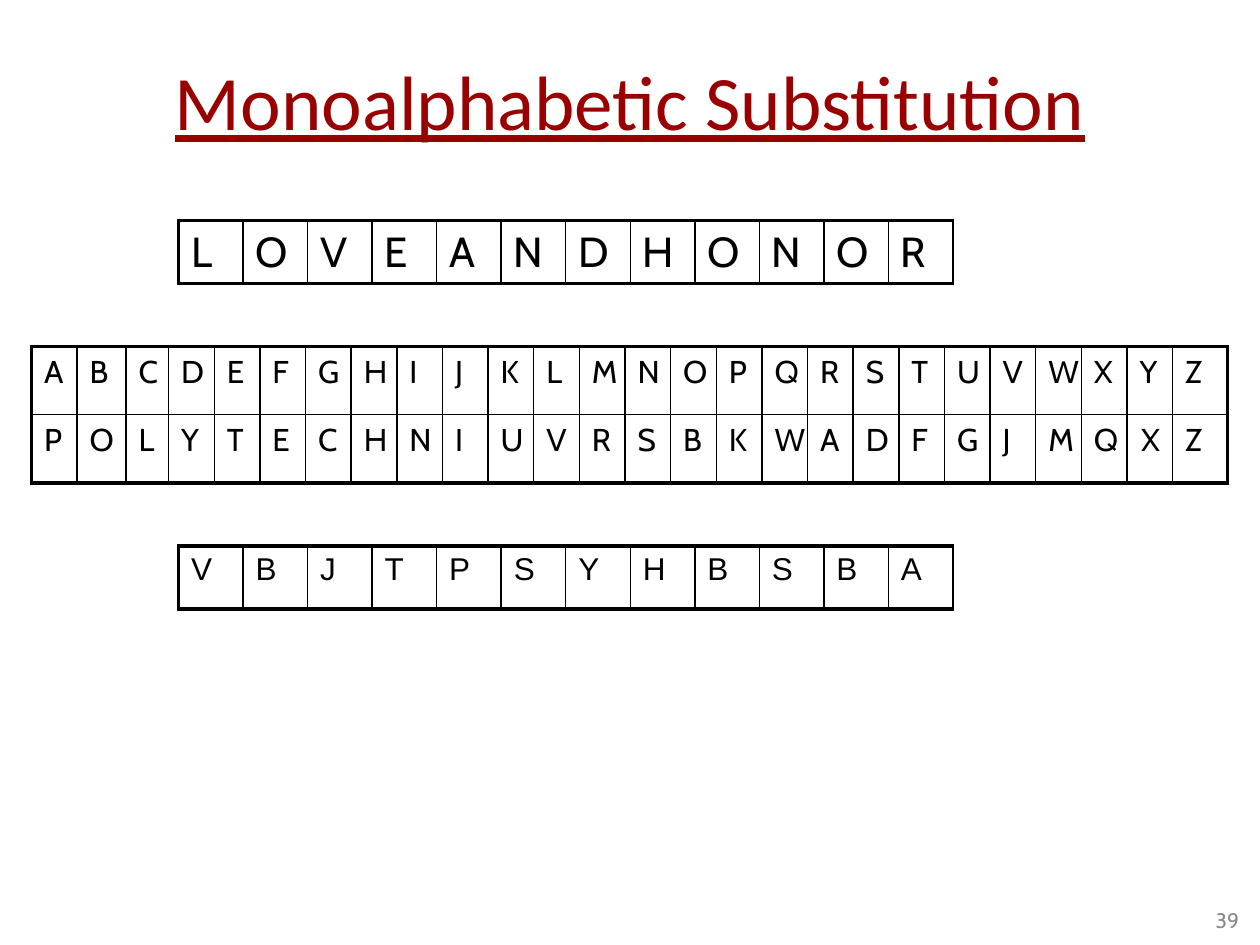
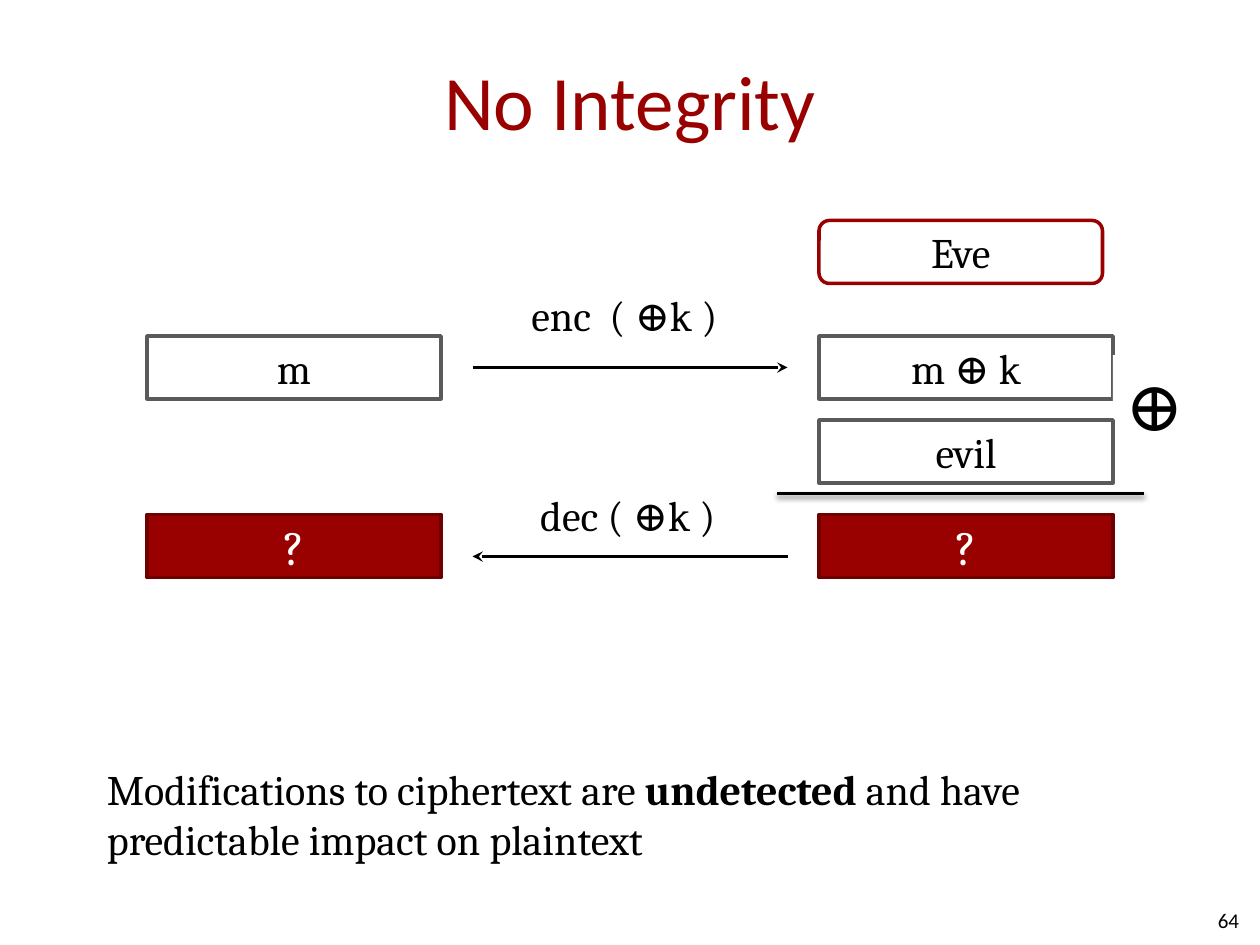
from lxml import etree
from pptx import Presentation
from pptx.dml.color import RGBColor
from pptx.enum import shapes, text
from pptx.oxml import ns
from pptx.util import Pt

HUES = {"red": "990000", "edge": "6F0000", "gray": "595A5A",
        "pale": "898989", "ink": "000000", "white": "FFFFFF"}
KINDS = shapes.MSO_SHAPE
MID, TOP = text.MSO_ANCHOR.MIDDLE, text.MSO_ANCHOR.TOP
LEFT, CENTER, RIGHT = text.PP_ALIGN.LEFT, text.PP_ALIGN.CENTER, text.PP_ALIGN.RIGHT
INSET = (7.2, 3.6)
THICK, THIN = 2.25, 1


def hue(name):
    return RGBColor.from_string(HUES[name])


def sub(parent, tag, **attrs):
    return etree.SubElement(parent, ns.qn(tag), attrs)


def style(para, size, font, color, align=LEFT):
    para.alignment = align
    para.font.size = Pt(size)
    para.font.name = font
    para.font.color.rgb = hue(color)


def write(shape, words, size, font="Cambria", color="ink", align=LEFT,
          anchor=TOP, inset=INSET, wrap=True):
    """Fill a shape with one paragraph; return the paragraph."""
    frame = shape.text_frame
    frame.word_wrap = wrap
    frame.vertical_anchor = anchor
    frame.margin_left = frame.margin_right = Pt(inset[0])
    frame.margin_top = frame.margin_bottom = Pt(inset[1])
    para = frame.paragraphs[0]
    para.text = words
    style(para, size, font, color, align)
    return para


def label(slide, box, words, size, **look):
    area = slide.shapes.add_textbox(*map(Pt, box))
    return write(area, words, size, **look)


def block(slide, box, words, size=24, fill="white", line="gray",
          color="ink", kind=KINDS.RECTANGLE, **look):
    shape = slide.shapes.add_shape(kind, *map(Pt, box))
    shape.shadow.inherit = False
    shape.fill.solid()
    shape.fill.fore_color.rgb = hue(fill)
    if line:
        shape.line.color.rgb = hue(line)
        shape.line.width = Pt(2)
    else:
        shape.line.fill.background()
    look = {"align": CENTER, "anchor": MID, **look}
    write(shape, words, size, color=color, **look)


def rule(slide, x1, x2, y, arrow=False, shade=False):
    """Draw a level line, with an arrowhead or a soft shadow on request."""
    line = slide.shapes.add_connector(
        shapes.MSO_CONNECTOR.STRAIGHT, Pt(x1), Pt(y), Pt(x2), Pt(y))
    line.line.color.rgb = hue("ink")
    line.line.width = Pt(2)
    if arrow:
        sub(line.line._get_or_add_ln(), "a:tailEnd", type="stealth")
    fx = sub(line._element.spPr, "a:effectLst")
    if shade:
        cast = sub(fx, "a:outerShdw", blurRad=str(Pt(3.1)), dist=str(Pt(1.6)),
                   dir="5400000", rotWithShape="0")
        tint = sub(cast, "a:srgbClr", val=HUES["ink"])
        sub(tint, "a:alpha", val="38000")


def base(deck, title, page, font, color, under=False):
    """Add a slide with the shared title and page number."""
    slide = deck.slides.add_slide(deck.slide_layouts[6])
    head = label(slide, (36, 12, 648, 90), title, 44, font="Calibri",
                 color="red", align=CENTER, anchor=MID, inset=(0, 3.6))
    if under:
        head.font.underline = True
    label(slide, (540, 511, 168, 29), page, 12, font=font, color=color,
          align=RIGHT, anchor=MID, inset=(0, 0))
    return slide


def edge(cell, widths):
    """Set the left, right, top and bottom borders of a cell."""
    props = cell._tc.get_or_add_tcPr()
    for i, (side, width) in enumerate(zip("LRTB", widths)):
        line = etree.Element(ns.qn(f"a:ln{side}"), w=str(Pt(width)))
        sub(sub(line, "a:solidFill"), "a:srgbClr", val=HUES["ink"])
        props.insert(i, line)


def grid(slide, box, rows, cols, size, font, end):
    """Place one letter per cell; end is the width of the right border."""
    table = slide.shapes.add_table(len(rows), len(cols), *map(Pt, box)).table
    table.first_row = table.horz_banding = False
    for col, width in zip(table.columns, cols):
        col.width = Pt(width)
    for r, row in enumerate(rows):
        table.rows[r].height = Pt(box[3] / len(rows))
        for c, char in enumerate(row):
            cell = table.cell(r, c)
            cell.fill.background()
            cell.text = char
            style(cell.text_frame.paragraphs[0], size, font, "ink")
            edge(cell, (THICK if c == 0 else THIN,
                        end if c == len(cols) - 1 else THIN,
                        THICK if r == 0 else THIN,
                        THICK if r == len(rows) - 1 else THIN))
    return table


def cipher(deck):
    slide = base(deck, "Monoalphabetic Substitution", "39", "Cabin", "pale", True)
    # Substitution key
    key = ["ABCDEFGHIJKLMNOPQRSTUVWXYZ", "POLYTECHNIUVRSBKWADFGJMQXZ"]
    cols = [26, 28, 24.4] + [26.1] * 22 + [31.4]
    table = grid(slide, (18, 198, 684, 78), key, cols, 18, "Cabin", THICK)
    last = table.cell(1, key[1].index("X"))
    last.text_frame.paragraphs[0].alignment = RIGHT
    # Plain and coded words
    for y, word, size, font in ((126, "LOVEANDHONOR", 24, "Cabin"),
                                (312, "VBJTPSYHBSBA", 18, "Arial")):
        grid(slide, (102, y, 442.8, 36), [word], [36.9] * len(word),
             size, font, THIN)


def flow(slide, box):
    """Draw the message, the tampering and the two steps between them."""
    x, y, wide, _ = box
    w, h = 168, 36
    far = x + wide - w
    step = (x + w + 18, far - 18)
    dark = {"size": 28, "fill": "red", "line": "edge", "color": "white"}
    # Encrypt
    block(slide, (x, y + 66, w, h), "m")
    rule(slide, *step, y + 84, arrow=True)
    label(slide, (x + 212.6, y + 36, 127.4, h), "enc  ( ⊕k )", 24, wrap=False)
    block(slide, (far, y + 66, w, h), "m ⊕ k")
    # Decrypt
    rule(slide, *step[::-1], y + 192, arrow=True)
    label(slide, (x + 217.6, y + 150, 121.7, h), "dec ( ⊕k )", 24, wrap=False)
    block(slide, (x, y + 168, w, h), "?", **dark)
    # Tamper
    rule(slide, far - 24, far + w + 18, y + 156, shade=True)
    block(slide, (far + w, y + 77, 54.7, 55.4), "⊕", 40, line=None,
          align=LEFT, anchor=TOP, wrap=False)
    block(slide, (far, y + 114, w, h), "evil")
    block(slide, (far, y + 168, w, h), "?", **dark)
    block(slide, (far, y, 162, h), "Eve", line="red",
          kind=KINDS.ROUNDED_RECTANGLE, inset=(0, 0))


def tamper(deck):
    slide = base(deck, "No Integrity", "64", "Calibri", "ink")
    flow(slide, (84, 126, 552, 204))
    # Conclusion
    para = label(slide, (54, 432.7, 600, 65.5),
                 "Modifications to ciphertext are ", 24)
    bold = para.add_run()
    bold.text = "undetected"
    bold.font.bold = True
    para.add_run().text = " and have predictable impact on plaintext"


def main():
    deck = Presentation()
    deck.slide_width, deck.slide_height = Pt(720), Pt(540)
    cipher(deck)
    tamper(deck)
    deck.save("out.pptx")


if __name__ == "__main__":
    main()
